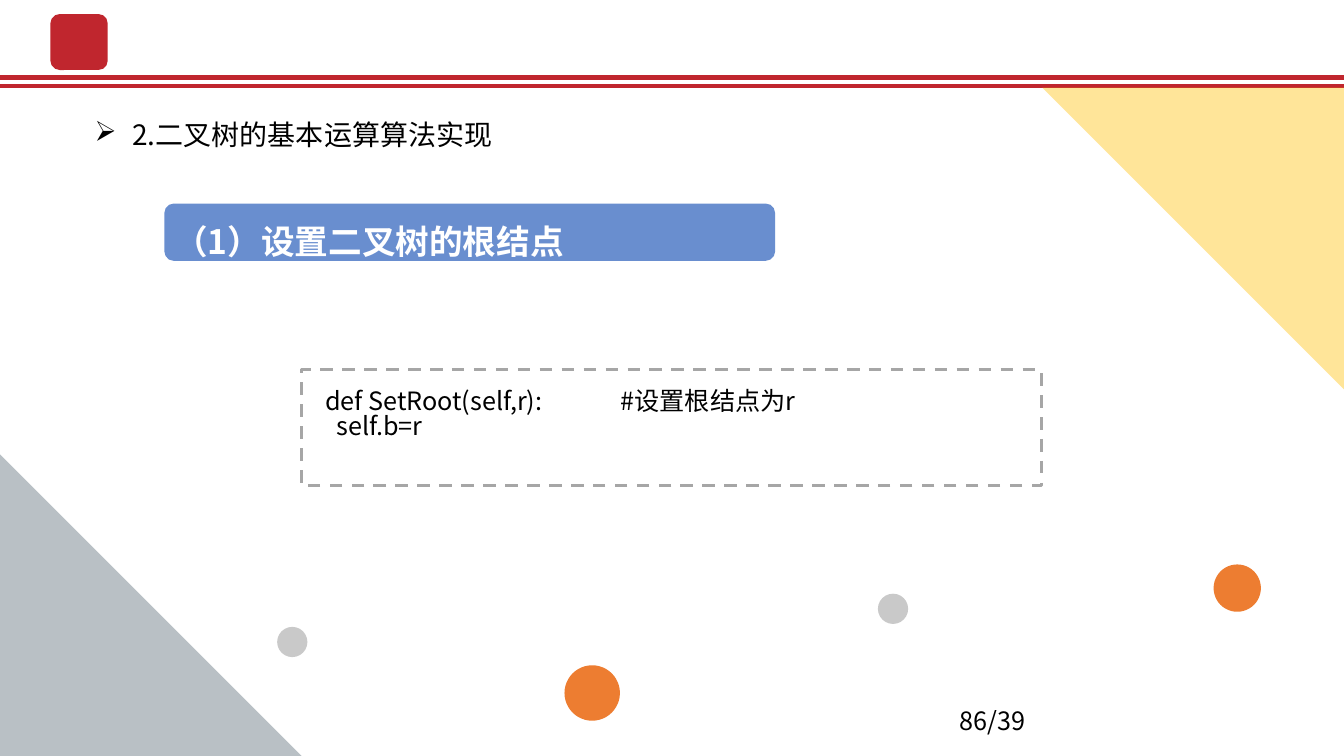
import pptx
import pptx.dml.color
import pptx.enum.dml
import pptx.enum.shapes
import pptx.enum.text
import pptx.oxml.ns
import pptx.util
from lxml import etree

Pt = pptx.util.Pt
RGBColor = pptx.dml.color.RGBColor
SHAPE = pptx.enum.shapes.MSO_SHAPE
ANCHOR = pptx.enum.text.MSO_ANCHOR
ALIGN = pptx.enum.text.PP_ALIGN
qn = pptx.oxml.ns.qn

RED = RGBColor(0xC0, 0x26, 0x2E)
BLUE = RGBColor(0x44, 0x72, 0xC4)
SLATE = RGBColor(0x50, 0x62, 0x70)
GOLD = RGBColor(0xFF, 0xC0, 0x00)
ORANGE = RGBColor(0xED, 0x7D, 0x31)
LIGHT_GRAY = RGBColor(0xC9, 0xC9, 0xC9)
BORDER_GRAY = RGBColor(0xA6, 0xA6, 0xA6)
BLACK = RGBColor(0, 0, 0)
WHITE = RGBColor(0xFF, 0xFF, 0xFF)

WIDTH, HEIGHT = 960, 540
CORNER = 215.5


class SlideBuilder:
    font_name = "Noto Sans CJK SC"

    def __init__(self, slide):
        self.slide = slide

    def rule(self, y):
        """Draw a red line across the whole slide."""
        line = self.slide.shapes.add_connector(
            pptx.enum.shapes.MSO_CONNECTOR.STRAIGHT, Pt(0), Pt(y), Pt(WIDTH), Pt(y))
        line.line.color.rgb = RED
        line.line.width = Pt(3)
        etree.SubElement(line._element.spPr, qn("a:effectLst"))

    def shape(self, kind, left, top, width, height, fill=None, opacity=100):
        shape = self.slide.shapes.add_shape(kind, Pt(left), Pt(top), Pt(width), Pt(height))
        shape.shadow.inherit = False
        shape.line.fill.background()
        if fill is None:
            shape.fill.background()
        else:
            shape.fill.solid()
            shape.fill.fore_color.rgb = fill
            if opacity < 100:
                color = shape._element.spPr.find(qn("a:solidFill"))[0]
                etree.SubElement(color, qn("a:alpha"), val=str(opacity * 1000))
        return shape

    def textbox(self, text, left, top, width, height, **style):
        box = self.slide.shapes.add_textbox(Pt(left), Pt(top), Pt(width), Pt(height))
        self.set_text(box, [text], **style)

    def set_text(self, shape, lines, size=18, color=BLACK, bold=False, bullet=None,
                 tab=None, line_spacing=None, margins=(7.2, 3.6, 7.2, 3.6)):
        frame = shape.text_frame
        left, top, right, bottom = margins
        frame_format = {
            "word_wrap": True, "vertical_anchor": ANCHOR.TOP,
            "margin_left": Pt(left), "margin_top": Pt(top),
            "margin_right": Pt(right), "margin_bottom": Pt(bottom)}
        for name, value in frame_format.items():
            setattr(frame, name, value)
        for index, line in enumerate(lines):
            paragraph = frame.add_paragraph() if index else frame.paragraphs[0]
            paragraph.alignment = ALIGN.LEFT
            if line_spacing:
                paragraph.line_spacing = line_spacing
            properties = paragraph._p.get_or_add_pPr()
            if bullet:
                properties.set("marL", str(Pt(27)))
                properties.set("indent", str(-Pt(27)))
                etree.SubElement(properties, qn("a:buChar"), char=bullet)
            if tab:
                tabs = etree.SubElement(properties, qn("a:tabLst"))
                etree.SubElement(tabs, qn("a:tab"), pos=str(Pt(tab)), algn="l")
            run = paragraph.add_run()
            run.text = line
            font_format = {"name": self.font_name, "size": Pt(size), "bold": bold}
            for name, value in font_format.items():
                setattr(run.font, name, value)
            run.font.color.rgb = color
            etree.SubElement(run._r.get_or_add_rPr(), qn("a:ea"), typeface=self.font_name)

    def code_box(self, lines, left, top, width, height):
        box = self.shape(SHAPE.RECTANGLE, left, top, width, height)
        box.line.color.rgb = BORDER_GRAY
        box.line.width = Pt(2.25)
        box.line.dash_style = pptx.enum.dml.MSO_LINE.DASH
        self.set_text(box, lines, tab=211, line_spacing=0.83, margins=(17, 14.4, 7.2, 14.4))


def main():
    presentation = pptx.Presentation()
    presentation.slide_width = Pt(WIDTH)
    presentation.slide_height = Pt(HEIGHT)
    slide = presentation.slides.add_slide(presentation.slide_layouts[6])
    builder = SlideBuilder(slide)

    for y in (55.4, 61.2):
        builder.rule(y)
    builder.shape(SHAPE.ROUNDED_RECTANGLE, 36, 10, 41, 40, RED)

    builder.textbox("2.二叉树的基本运算算法实现", 60.5, 80.6, 343.5, 31.7, size=20, bullet="➢")
    builder.code_box(["def SetRoot(self,r):\t#设置根结点为r", "  self.b=r"],
                     215.3, 264.2, 528.5, 82.8)
    builder.textbox("86/39", 678.2, 500.4, 216, 28.8)

    builder.shape(SHAPE.ROUNDED_RECTANGLE, 117.4, 145.4, 436.3, 41, BLUE, opacity=80)
    builder.textbox("（1）设置二叉树的根结点", 117.4, 154.1, 429, 30.2,
                    size=24, color=WHITE, bold=True)

    dots = [(627.1, 424.1, 21.6, LIGHT_GRAY), (403.2, 475.2, 39.6, ORANGE),
            (198, 447.8, 21.6, LIGHT_GRAY), (866.9, 403.2, 33.8, ORANGE)]
    for left, top, diameter, color in dots:
        builder.shape(SHAPE.OVAL, left, top, diameter, diameter, color)

    builder.shape(SHAPE.RIGHT_TRIANGLE, 0, HEIGHT - CORNER, CORNER, CORNER, SLATE, opacity=40)
    top_corner = builder.shape(SHAPE.RIGHT_TRIANGLE, WIDTH - CORNER, 62.6, CORNER, CORNER,
                               GOLD, opacity=40)
    top_corner.rotation = 180

    presentation.save("out.pptx")


if __name__ == "__main__":
    main()
